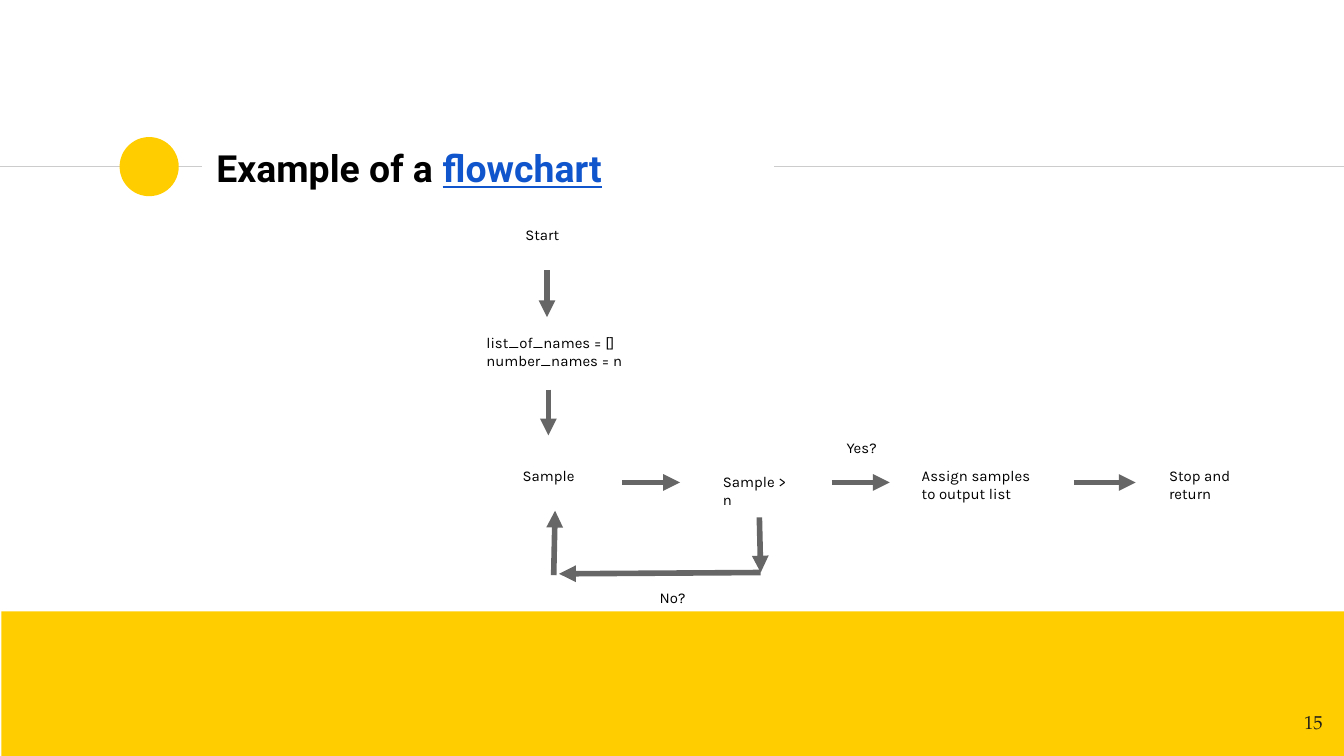
"""Build a slide showing a sampling flowchart with a decision loop."""
from lxml import etree
from pptx import Presentation
from pptx import util as u
from pptx.dml.color import RGBColor
from pptx.enum import shapes, text
from pptx.oxml import ns

COLORS = {"yellow": "FFCD00", "rule": "CCCCCC", "arrow": "666666",
          "black": "000000", "link": "1155CC", "number": "1D1D1B"}
WIDTH = 10
HEIGHT = WIDTH * 9 / 16
RULE_Y, FLOW_Y = 1.24, 3.59
STEP_Y, BAND_Y = 3.37, 4.55
RULES = [(0, 1.5), (5.76, WIDTH)]
TITLE = [("Example of a ", "black", False), ("flowchart", "link", True)]

LABELS = [
    ("Start", 3.81, 1.58, 0.51, 0.35),
    ("list_of_names = []\nnumber_names = n", 3.52, 2.38, 1.22, 0.43),
    ("Sample", 3.79, STEP_Y, 0.67, 0.43),
    ("Sample > n", 5.28, 3.42, 0.74, 0.43),
    ("Yes?", 6.2, 3.16, 0.51, 0.35),
    ("Assign samples to output list", 6.76, STEP_Y, 1.07, 0.35),
    ("Stop and return", 8.6, STEP_Y, 0.67, 0.41),
    ("No?", 4.81, 4.28, 0.51, 0.35),
]
DOWN_ARROWS = [(4.07, 2.01, 4.07, 2.36), (4.08, 2.9, 4.08, 3.24)]
RIGHT_ARROWS = [(start, FLOW_Y, end, FLOW_Y)
                for start, end in [(4.63, 5.06), (6.19, 6.62), (7.99, 8.45)]]
LOOP_ARROWS = [(5.65, 3.85, 5.66, 4.26), (5.66, 4.26, 4.16, 4.27),
               (4.12, 4.28, 4.13, 3.8)]


def rgb(name):
    return RGBColor.from_string(COLORS[name])


def inches(*lengths):
    return [u.Inches(length) for length in lengths]


def style(font, name, size, color):
    font.name, font.size = name, u.Pt(size)
    font.color.rgb = rgb(color)


def set_frame(frame, anchor=text.MSO_ANCHOR.TOP):
    frame.word_wrap = True
    frame.auto_size = text.MSO_AUTO_SIZE.NONE
    frame.vertical_anchor = anchor
    frame.margin_left = frame.margin_right = u.Inches(0.1)
    frame.margin_top = frame.margin_bottom = u.Inches(0.1)


def add_line(slide, points, color, width, arrow=False):
    line = slide.shapes.add_connector(shapes.MSO_CONNECTOR.STRAIGHT, *inches(*points))
    line.line.color.rgb = rgb(color)
    line.line.width = u.Pt(width)
    properties = line._element.spPr
    if arrow:
        etree.SubElement(properties.find(ns.qn("a:ln")), ns.qn("a:tailEnd"), type="triangle")
    etree.SubElement(properties, ns.qn("a:effectLst"))


def add_fill(slide, kind, *box):
    shape = slide.shapes.add_shape(kind, *inches(*box))
    shape.shadow.inherit = False
    shape.fill.solid()
    shape.fill.fore_color.rgb = rgb("yellow")
    shape.line.fill.background()


def add_text(slide, words, box, font="Karla", size=8, color="black", align=text.PP_ALIGN.LEFT):
    frame = slide.shapes.add_textbox(*inches(*box)).text_frame
    set_frame(frame)
    frame.text = words
    for paragraph in frame.paragraphs:
        paragraph.alignment = align
        for run in paragraph.runs:
            style(run.font, font, size, color)


def add_title(slide):
    title = slide.shapes.title
    title.left, title.top, title.width, title.height = inches(1.51, 1.01, 4.24, 0.48)
    set_frame(title.text_frame, text.MSO_ANCHOR.MIDDLE)
    paragraph = title.text_frame.paragraphs[0]
    paragraph.alignment = text.PP_ALIGN.LEFT
    for words, color, underline in TITLE:
        run = paragraph.add_run()
        run.text = words
        style(run.font, "Roboto", 20, color)
        run.font.bold, run.font.underline = True, underline


def main():
    presentation = Presentation()
    presentation.slide_width, presentation.slide_height = inches(WIDTH, HEIGHT)
    slide = presentation.slides.add_slide(presentation.slide_layouts[5])
    for start, end in RULES:
        add_line(slide, (start, RULE_Y, end, RULE_Y), "rule", 0.75)
    add_fill(slide, shapes.MSO_SHAPE.OVAL, 0.89, RULE_Y - 0.22, 0.44, 0.44)
    add_fill(slide, shapes.MSO_SHAPE.RECTANGLE, 0.01, BAND_Y, WIDTH, HEIGHT - BAND_Y)
    add_title(slide)
    for points in DOWN_ARROWS + RIGHT_ARROWS + LOOP_ARROWS:
        add_line(slide, points, "arrow", 3, arrow=True)
    for words, *box in LABELS:
        add_text(slide, words, box)
    add_text(slide, "15", (9.34, 5.19, 0.6, 0.43), "TeX Gyre Pagella", 10, "number",
             text.PP_ALIGN.RIGHT)
    presentation.save("out.pptx")


if __name__ == "__main__":
    main()
